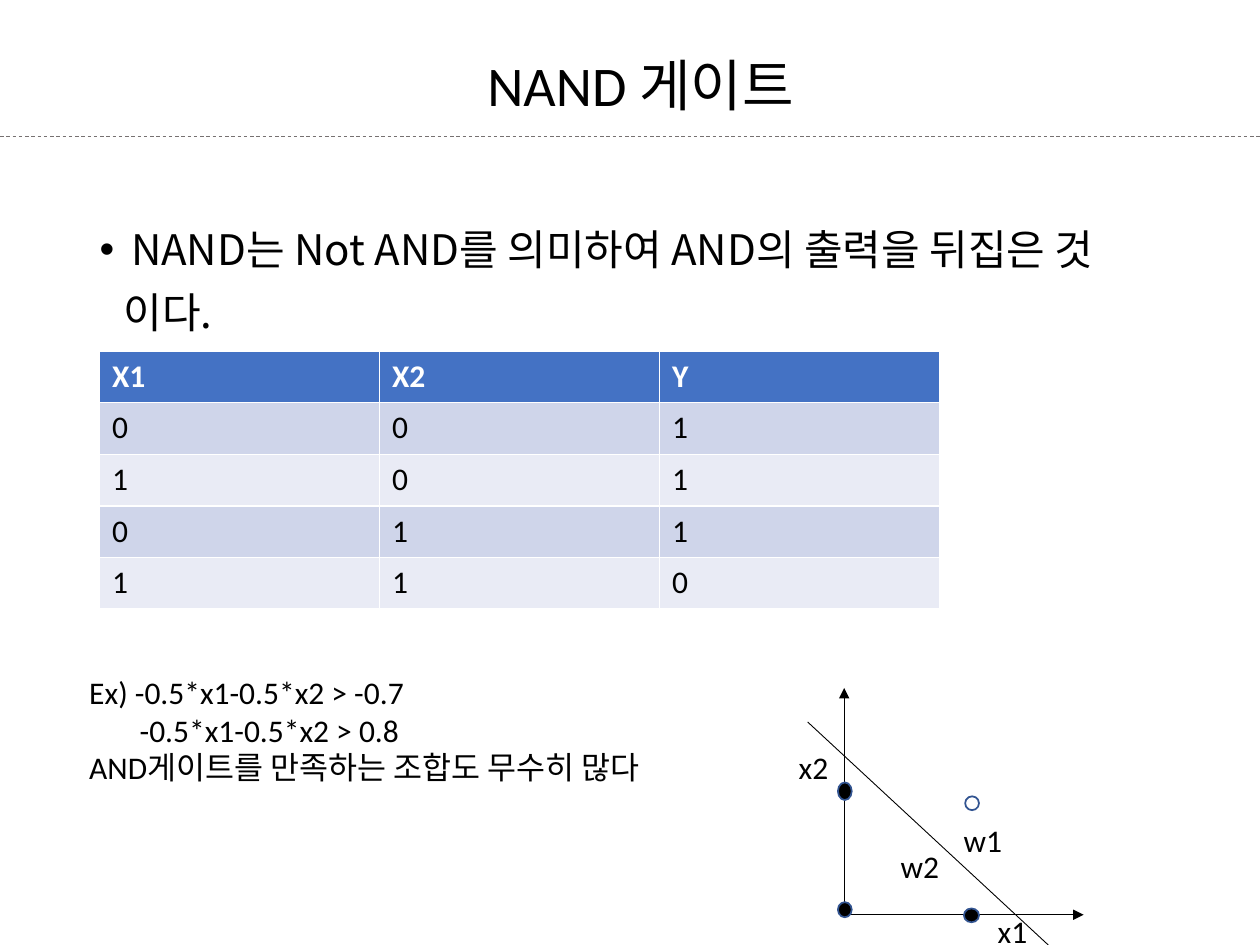
"""Build the NAND gate slide with its truth table and decision boundary."""
from lxml import etree
from pptx import Presentation
from pptx.dml.color import RGBColor
from pptx.enum.dml import MSO_LINE
from pptx.enum.shapes import MSO_CONNECTOR, MSO_SHAPE
from pptx.enum.text import MSO_ANCHOR, MSO_AUTO_SIZE, PP_ALIGN
from pptx.oxml.ns import qn
from pptx.util import Inches, Pt

STRAIGHT, OVAL, DASH = MSO_CONNECTOR.STRAIGHT, MSO_SHAPE.OVAL, MSO_LINE.DASH
CENTER, TOP, MIDDLE = PP_ALIGN.CENTER, MSO_ANCHOR.TOP, MSO_ANCHOR.MIDDLE
FIXED, GROW = MSO_AUTO_SIZE.NONE, MSO_AUTO_SIZE.SHAPE_TO_FIT_TEXT
KOREAN_FONT = "Noto Sans CJK KR"
color = RGBColor.from_string

deck = Presentation()
deck.slide_width, deck.slide_height = Inches(10), Inches(7.5)
slide = deck.slides.add_slide(deck.slide_layouts[1])
shapes = slide.shapes
CELL = deck.slide_width / 100


def grid(*cells):
    """Turn grid cells into lengths, with 100 columns and 75 rows to the slide."""
    return [round(cell * CELL) for cell in cells]


def write(frame, lines, size=18, font="Calibri", ink="000000", bold=False, **paragraph_format):
    """Fill a text frame with one formatted paragraph per line."""
    frame.text = "\n".join(lines)
    for paragraph in frame.paragraphs:
        for key, value in paragraph_format.items():
            setattr(paragraph, key, value)
        run = paragraph.runs[0]
        for key, value in {"name": font, "size": Pt(size), "bold": bold}.items():
            setattr(run.font, key, value)
        run.font.color.rgb = color(ink)
        etree.SubElement(run.font._element, qn("a:ea"), typeface=KOREAN_FONT)
    return [paragraph._p.get_or_add_pPr() for paragraph in frame.paragraphs]


title, body = shapes.title, slide.placeholders[1]
for holder, box, fit, anchor in [
    (title, (15.7, 3.5, 70.3, 6.4), GROW, MIDDLE),
    (body, (6.9, 17.7, 90.5, 55.4), FIXED, TOP),
]:
    holder.left, holder.top, holder.width, holder.height = grid(*box)
    holder.text_frame.auto_size = fit
    holder.text_frame.vertical_anchor = anchor

write(title.text_frame, ["NAND 게이트"], size=32, alignment=CENTER)
meaning, ending = write(
    body.text_frame, ["NAND는 Not AND를 의미하여 AND의 출력을 뒤집은 것", "이다."],
    size=24, font=KOREAN_FONT, line_spacing=0.9, space_before=Pt(10))
for properties, margin, indent, bullet in [
    (meaning, 2.5, -2.5, {"char": "•"}),
    (ending, 1.9, 0, None),
]:
    for key, value in zip(("marL", "indent"), grid(margin, indent)):
        properties.set(key, str(value))
    if bullet:
        etree.SubElement(properties, qn("a:buFont"), typeface="Arial")
    etree.SubElement(properties, qn("a:buChar" if bullet else "a:buNone"), bullet or {})

truth_rows = [("X1", "X2", "Y"), "001", "101", "011", "110"]
truth_table = shapes.add_table(5, 3, *grid(7.9, 27.9, 66.66, 20.2)).table
for column in truth_table.columns:
    column.width, = grid(22.22)
for index, values in enumerate(truth_rows):
    header = index == 0
    truth_table.rows[index].height, = grid(3.6 if header else 4.1)
    band = "4472C4" if header else ("E9EBF5", "CFD5EA")[index % 2]
    for cell, value in zip(truth_table.rows[index].cells, values):
        cell.fill.solid()
        cell.fill.fore_color.rgb = color(band)
        write(cell.text_frame, [value], ink="FFFFFF" if header else "000000", bold=header)

for ends, ink, dash, arrow in [
    ((0, 10.8, 100, 10.8), "767171", DASH, False),
    ((67, 72.7, 67, 54.6), "000000", None, True),
    ((67, 72.6, 86, 72.6), "000000", None, True),
    ((64.1, 57.3, 83.2, 75), "000000", None, False),
]:
    rule = shapes.add_connector(STRAIGHT, *grid(*ends))
    rule.line.color.rgb = color(ink)
    for key, value in {"width": Pt(0.5), "dash_style": dash}.items():
        setattr(rule.line, key, value)
    if arrow:
        etree.SubElement(rule.line._get_or_add_ln(), qn("a:tailEnd"), type="triangle")
    etree.SubElement(rule._element.spPr, qn("a:effectLst"))

for box, fill in [
    ((66.5, 62.1, 1.1, 1.4), "000000"),
    ((66.5, 71.6, 1.1, 1.2), "000000"),
    ((76.5, 72.1, 1.2, 1.1), "000000"),
    ((76.6, 63.2, 1.1, 1.1), "FFFFFF"),
]:
    point = shapes.add_shape(OVAL, *grid(*box))
    point.shadow.inherit = False
    point.fill.solid()
    point.fill.fore_color.rgb = color(fill)
    point.line.color.rgb = color("325491")
    point.line.width = Pt(1)

for box, lines in [
    ((62.4, 58.9, 4.6, 4), ["x2"]),
    ((78.2, 71.9, 4.9, 4), ["x1"]),
    ((75.5, 64.7, 5.5, 4), ["w1"]),
    ((70.5, 66.7, 5.5, 4), ["w2"]),
    ((6.1, 52.9, 65.9, 10.1), ["Ex) -0.5*x1-0.5*x2 > -0.7", "-0.5*x1-0.5*x2 > 0.8",
                               "AND게이트를 만족하는 조합도 무수히 많다"]),
]:
    note = shapes.add_textbox(*grid(*box)).text_frame
    note.word_wrap, note.auto_size = True, GROW
    paragraphs = write(note, lines)
    if len(lines) > 1:
        paragraphs[1].set("marL", str(*grid(4)))

deck.save("out.pptx")
